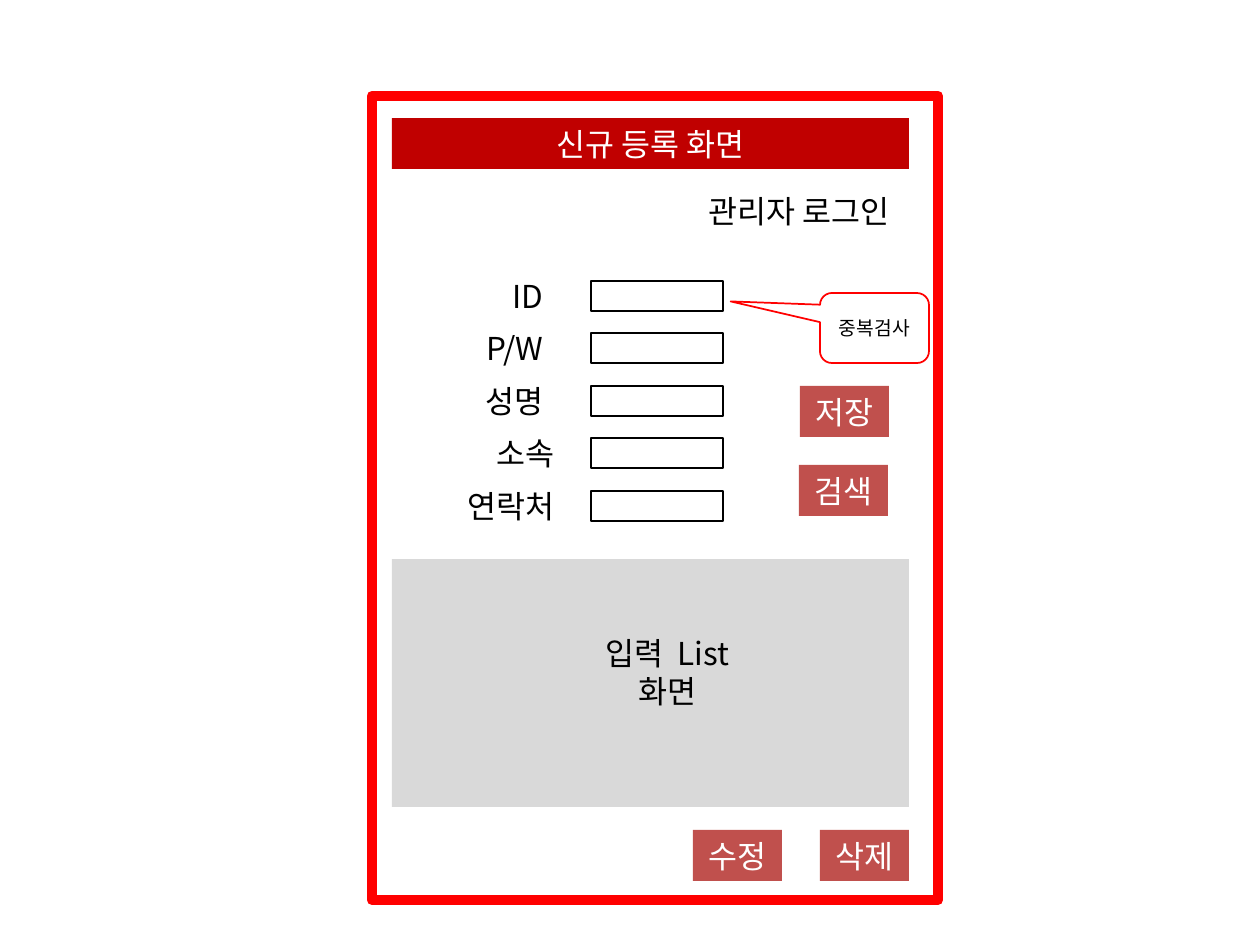
from dataclasses import dataclass

from lxml.etree import SubElement
from pptx import Presentation
from pptx.dml.color import RGBColor
from pptx.enum.shapes import MSO_SHAPE
from pptx.enum.text import MSO_ANCHOR, MSO_AUTO_SIZE, PP_ALIGN
from pptx.oxml.ns import qn
from pptx.util import Emu, Pt

PIXEL = 914400 / 126


@dataclass(frozen=True)
class Theme:
    font: str = "Noto Sans CJK KR"
    ink: str = "000000"
    paper: str = "FFFFFF"
    header: str = "C00000"
    button: str = "C0504D"
    panel: str = "D9D9D9"
    accent: str = "FF0000"
    body_size: int = 18
    note_size: int = 11
    thin: int = 1
    thick: int = 6


@dataclass(frozen=True)
class Box:
    left: int
    top: int
    width: int
    height: int

    def inside(self, left, top, width, height):
        return Box(self.left + left, self.top + top, width, height)

    def emu(self):
        return [Emu(round(length * PIXEL)) for length in (self.left, self.top, self.width, self.height)]


THEME = Theme()


def write(shape, lines, color=THEME.ink, size=THEME.body_size,
          align=PP_ALIGN.CENTER, anchor=MSO_ANCHOR.MIDDLE):
    frame = shape.text_frame
    frame.word_wrap = False
    frame.auto_size = MSO_AUTO_SIZE.NONE
    frame.vertical_anchor = anchor
    para = frame.paragraphs[0]
    para.alignment = align
    for index, line in enumerate(lines):
        if index:
            para.add_line_break()
        span = para.add_run()
        span.text = line
        span.font.name = THEME.font
        span.font.size = Pt(size)
        span.font.color.rgb = RGBColor.from_string(color)
        SubElement(span.font._element, qn("a:ea"), typeface=THEME.font)


def add_text(page, box, lines, **style):
    write(page.shapes.add_textbox(*box.emu()), lines, **style)


def add_block(page, box, fill=None, line=None, width=THEME.thin, kind=MSO_SHAPE.RECTANGLE):
    shape = page.shapes.add_shape(kind, *box.emu())
    shape.shadow.inherit = False
    if fill:
        shape.fill.solid()
        shape.fill.fore_color.rgb = RGBColor.from_string(fill)
    else:
        shape.fill.background()
    if line:
        shape.line.color.rgb = RGBColor.from_string(line)
        shape.line.width = Pt(width)
    else:
        shape.line.fill.background()
    return shape


def add_header(page, box):
    title = page.shapes.title
    title.left, title.top, title.width, title.height = box.inside(0, 0, 517, 51).emu()
    title.fill.solid()
    title.fill.fore_color.rgb = RGBColor.from_string(THEME.header)
    write(title, ["신규 등록 화면"], color=THEME.paper)
    add_text(page, box.inside(293, 67, 228, 51), ["관리자 로그인"])


def add_form(page, box):
    rows = [("ID", 110), ("P/W", 110), ("성명", 110), ("소속", 121), ("연락처", 121)]
    for index, (label, right) in enumerate(rows):
        top = index * 105 // 2
        add_text(page, box.inside(right - 121, top, 121, 51), [label], align=PP_ALIGN.RIGHT)
        add_block(page, box.inside(145, top + 11, 132, 30), THEME.paper, THEME.ink)


def add_list_panel(page, box):
    add_block(page, box, THEME.panel)
    add_text(page, box.inside(164, 69, 223, 89), ["입력  List", "화면"], anchor=MSO_ANCHOR.TOP)


def add_buttons(page, box):
    for label, left, top in (("저장", 428, 290), ("검색", 427, 369), ("수정", 321, 734), ("삭제", 448, 734)):
        button = add_block(page, box.inside(left, top, 89, 51), THEME.button)
        write(button, [label], color=THEME.paper)


def add_callout(page, box):
    callout = add_block(page, box, line=THEME.accent, kind=MSO_SHAPE.ROUNDED_RECTANGULAR_CALLOUT)
    for index, value in enumerate((-1.32, -0.38, 0.17)):
        callout.adjustments[index] = value
    write(callout, ["중복검사"], size=THEME.note_size)


def add_registration_screen(page, box):
    add_header(page, box.inside(20, 22, 517, 118))
    add_form(page, box.inside(74, 174, 277, 251))
    add_list_panel(page, box.inside(20, 463, 517, 248))
    add_block(page, box, line=THEME.accent, width=THEME.thick)
    add_buttons(page, box)
    add_callout(page, box.inside(448, 197, 109, 70))


deck = Presentation()
deck.slide_width, deck.slide_height = Box(0, 0, 1260, 945).emu()[2:]
page = deck.slides.add_slide(deck.slide_layouts[5])
add_registration_screen(page, Box(372, 96, 566, 804))
deck.save("out.pptx")
